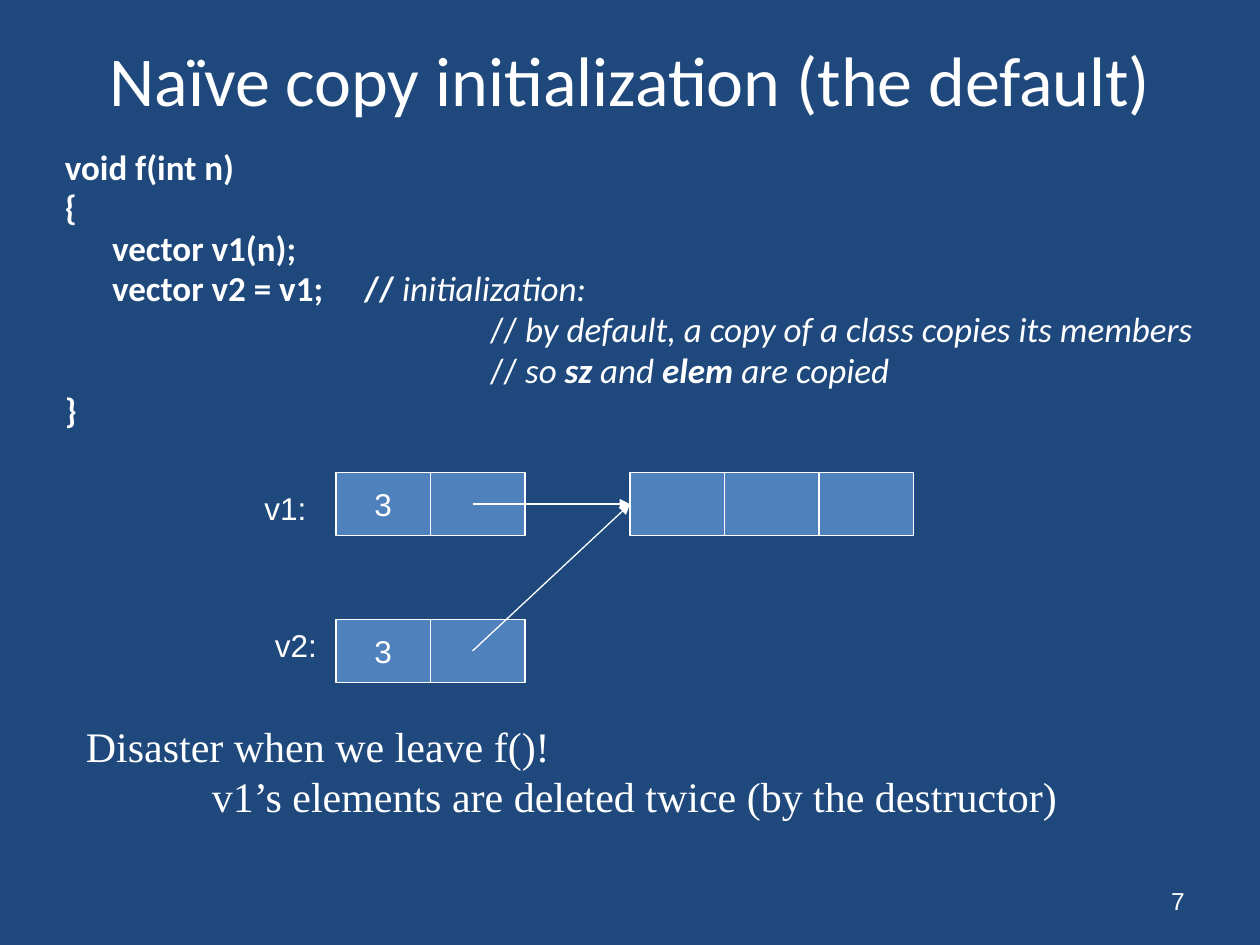
"""Build a slide on naive copy initialization of a vector."""
import pptx
import pptx.util
import pptx.dml.color
import pptx.enum.shapes
import pptx.enum.text
import pptx.oxml.ns
import lxml.etree

Pt = pptx.util.Pt
ALIGN = pptx.enum.text.PP_ALIGN
ANCHOR = pptx.enum.text.MSO_ANCHOR
WHITE, NAVY, BLUE = "FFFFFF", "1F497D", "4F81BD"
CELL_W, CELL_H = 54, 36
TAB = 72

CODE = [
    [("void f(int n)", "b")],
    [("{", "b")],
    [("\tvector v1(n);", "b")],
    [("\tvector v2 = v1; \t// ", "b"), ("initialization:", "i")],
    [("\t\t\t\t// ", ""), ("by default, a copy of a class copies its members", "i")],
    [("\t\t\t\t// ", ""), ("so ", "i"), ("sz", "bi"), (" and ", "i"),
     ("elem ", "bi"), ("are copied", "i")],
    [("}", "b")],
]


def color(fmt, value):
    """Set a fill, line or font colour from a hex string."""
    if hasattr(fmt, "solid"):
        fmt.solid()
        fmt = fmt.fore_color
    elif hasattr(fmt, "color"):
        fmt = fmt.color
    fmt.rgb = pptx.dml.color.RGBColor.from_string(value)


def write(sp, text, size=18, font="Arial", align=ALIGN.LEFT, anchor=ANCHOR.TOP,
          wrap=True, hang=0, spacing=None, before=0):
    """Write a string or a list of styled paragraphs into a shape."""
    tf = sp.text_frame
    tf.word_wrap = wrap
    tf.vertical_anchor = anchor
    paragraphs = [[(text, "")]] if isinstance(text, str) else text
    for i, runs in enumerate(paragraphs):
        p = tf.add_paragraph() if i else tf.paragraphs[0]
        p.alignment = align
        p.space_before = Pt(before)
        if spacing:
            p.line_spacing = spacing
        pPr = p._p.get_or_add_pPr()
        pPr.set("defTabSz", str(Pt(TAB)))
        if hang:
            pPr.set("marL", str(Pt(hang)))
            pPr.set("indent", str(-Pt(hang)))
        for words, style in runs:
            for j, part in enumerate(words.split("\n")):
                if j:
                    p.add_line_break()
                r = p.add_run()
                r.text = part
                r.font.size, r.font.name = Pt(size), font
                r.font.bold, r.font.italic = "b" in style, "i" in style
                color(r.font, WHITE)


def text_box(s, x, y, w, h, text, **fmt):
    """Add a text box."""
    write(s.shapes.add_textbox(Pt(x), Pt(y), Pt(w), Pt(h)), text, **fmt)


def cells(s, x, y, values):
    """Add a row of adjoining memory cells."""
    for i, value in enumerate(values):
        sp = s.shapes.add_shape(pptx.enum.shapes.MSO_SHAPE.RECTANGLE,
                                Pt(x + i * CELL_W), Pt(y), Pt(CELL_W), Pt(CELL_H))
        sp.shadow.inherit = False
        color(sp.fill, BLUE)
        color(sp.line, WHITE)
        sp.line.width = Pt(0.75)
        if value:
            write(sp, value, align=ALIGN.CENTER, anchor=ANCHOR.MIDDLE, wrap=False)


def arrow(s, x1, y1, x2, y2):
    """Add a straight pointer with a triangular head."""
    c = s.shapes.add_connector(pptx.enum.shapes.MSO_CONNECTOR.STRAIGHT,
                               Pt(x1), Pt(y1), Pt(x2), Pt(y2))
    color(c.line, WHITE)
    c.line.width = Pt(0.75)
    qn = pptx.oxml.ns.qn
    lxml.etree.SubElement(c.line._get_or_add_ln(), qn("a:tailEnd"), type="triangle")
    lxml.etree.SubElement(c._element.spPr, qn("a:effectLst"))


def memory_diagram(s, x, y):
    """Draw two vectors that point to the same elements."""
    row_gap, elements_x = 84, 168
    cells(s, x + elements_x, y, ["", "", ""])
    labels = [("v1:", -48, 6), ("v2:", -42, 0)]
    for i, (name, dx, dy) in enumerate(labels):
        top = y + i * row_gap
        cells(s, x, top, ["3", ""])
        text_box(s, x + dx, top + dy, 48, 29, name)
        arrow(s, x + 78, top + CELL_H / 2, x + elements_x, y + CELL_H / 2)


def build():
    """Build and save the slide."""
    prs = pptx.Presentation()
    prs.slide_width, prs.slide_height = Pt(720), Pt(540)
    s = prs.slides.add_slide(prs.slide_layouts[6])
    color(s.background.fill, NAVY)
    text_box(s, 36, 0, 648, 90, "Naïve copy initialization (the default)", size=40,
             font="Calibri", align=ALIGN.CENTER, anchor=ANCHOR.MIDDLE)
    text_box(s, 30, 84, 690, 198, CODE, size=20, font="Calibri",
             hang=27, spacing=0.8, before=4)
    memory_diagram(s, 192, 270)
    text_box(s, 42, 408, 576, 65.5,
             "Disaster when we leave f()! \n\tv1’s elements are deleted twice (by the destructor)",
             size=24, font="Times New Roman")
    text_box(s, 516, 500, 168, 29, "7", size=14, align=ALIGN.RIGHT, anchor=ANCHOR.MIDDLE)
    prs.save("out.pptx")


build()
